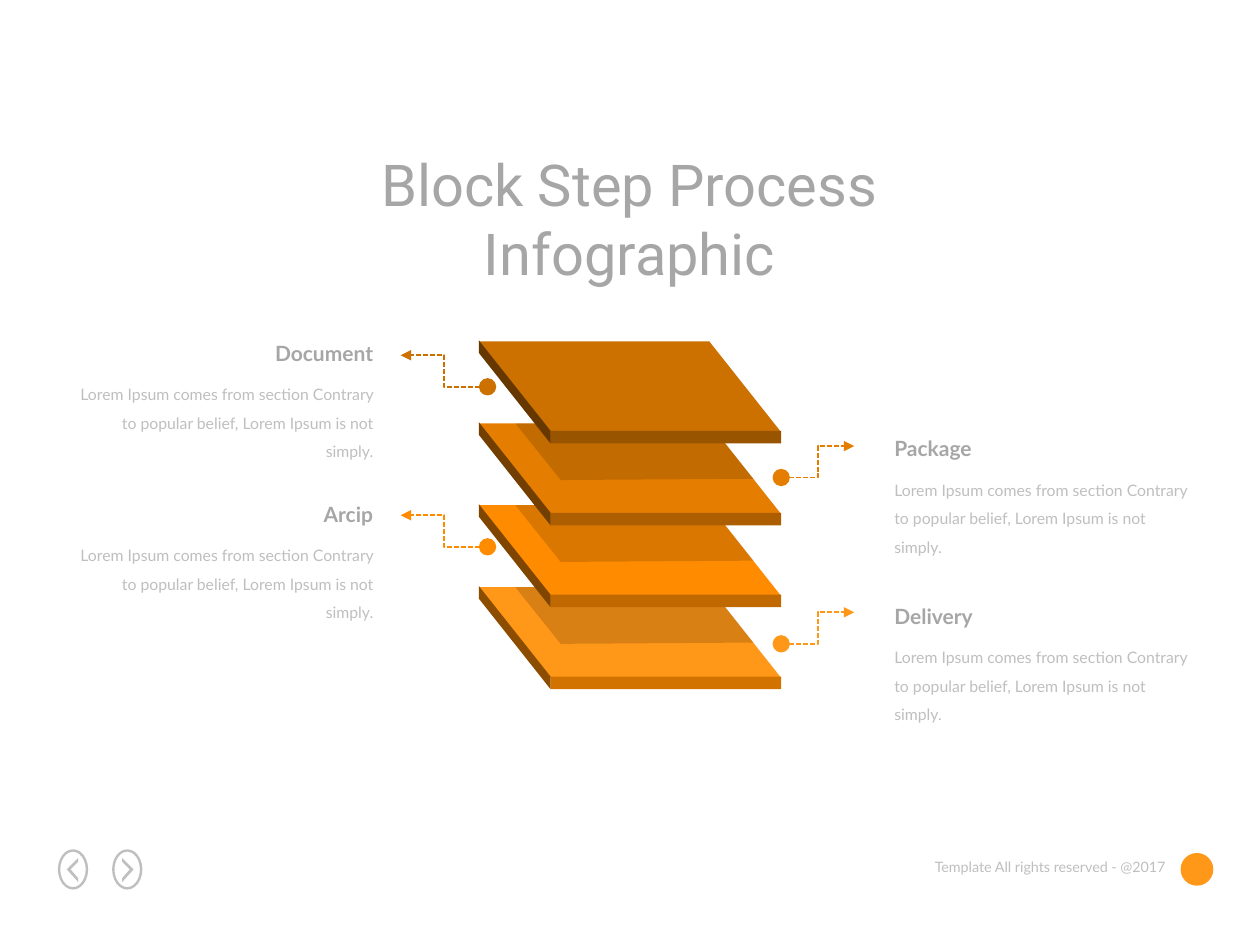
from pptx import Presentation
from pptx.dml.color import RGBColor
from pptx.enum.dml import MSO_LINE_DASH_STYLE as Dash
from pptx.enum.shapes import MSO_CONNECTOR as Connector, MSO_SHAPE as Shape
from pptx.enum.text import MSO_ANCHOR as Anchor, MSO_AUTO_SIZE as AutoSize, PP_ALIGN as Align
from pptx.oxml.ns import qn
from pptx.util import Inches, Pt
from lxml.etree import SubElement

# Content
TITLE = "Block Step Process Infographic"
BODY = "Lorem Ipsum comes from section Contrary to popular belief, Lorem Ipsum is not simply."
FOOTER = "Template All rights reserved - @2017"
COLORS = {"heading": "A6A6A6", "muted": "BFBFBF", "accent": "FF9719", "shade": "000000"}
# Blocks from bottom to top: surface, left side, front
BLOCKS = [
    ("FF9719", "8C4D00", "D27300"),
    ("FF8C00", "804600", "BF6900"),
    ("E57E00", "723F00", "AC5E00"),
    ("CC7000", "663800", "995400"),
]
# Heading, side, heading top, heading width, callout start, colour
STEPS = [
    ("Document", "left", 2.65, 0.99, 3.07, "CC7000"),
    ("Arcip", "left", 3.93, 0.60, 4.34, "FF8C00"),
    ("Package", "right", 3.41, 0.83, 3.79, "E57E00"),
    ("Delivery", "right", 4.74, 0.83, 5.11, "FF9719"),
]

# Geometry in inches
BLOCK_LEFT, BLOCK_BOTTOM, BLOCK_STEP = 3.8, 4.65, 0.65
SLANT, DEPTH, FRONT, THICK = 0.57, 0.72, 1.83, 0.1
BODY_WIDTH, BODY_HEIGHT, BODY_DROP = 2.57, 0.78, 0.28
SIDES = {  # text edge, callout start and end
    "left": {"edge": 3.06, "start": 3.87, "end": 3.18, "align": Align.RIGHT},
    "right": {"edge": 7.0, "start": 6.2, "end": 6.78, "align": Align.LEFT},
}
CALLOUT_RISE = 0.25

deck = Presentation()
deck.slide_width, deck.slide_height = Inches(10), Inches(7.5)
page = deck.slides.add_slide(deck.slide_layouts[5])


def paint(shape, color, alpha=None):
    shape.shadow.inherit = False
    shape.fill.solid()
    shape.fill.fore_color.rgb = RGBColor.from_string(color)
    shape.line.fill.background()
    if alpha is not None:
        tint = shape.fill._xPr.find(".//" + qn("a:srgbClr"))
        SubElement(tint, qn("a:alpha"), val=str(alpha * 1000))


def add_preset(kind, left, top, width, height, color):
    shape = page.shapes.add_shape(kind, *map(Inches, (left, top, width, height)))
    paint(shape, color)
    return shape


def add_polygon(points, color, alpha=None):
    corners = [(Inches(x), Inches(y)) for x, y in points]
    builder = page.shapes.build_freeform(*corners[0])
    builder.add_line_segments(corners[1:], close=True)
    paint(builder.convert_to_shape(), color, alpha)


def format_text(box, text, size, font, color, align, bold=False, spacing=None):
    box.text_frame.text = text
    para = box.text_frame.paragraphs[0]
    para.alignment = align
    if spacing:
        para.line_spacing = spacing
    span = para.runs[0].font
    span.size, span.name, span.bold = Pt(size), font, bold
    span.color.rgb = RGBColor.from_string(color)


def add_text(left, top, width, height, text, size, color, align, wrap=False, **style):
    box = page.shapes.add_textbox(*map(Inches, (left, top, width, height)))
    box.text_frame.word_wrap = wrap
    format_text(box, text, size, "Lato", color, align, **style)


def add_callout(start, end, color):
    line = page.shapes.add_connector(Connector.ELBOW, *map(Inches, start + end))
    line.line.color.rgb = RGBColor.from_string(color)
    line.line.width = Pt(1)
    line.line.dash_style = Dash.SQUARE_DOT
    outline = line.line._get_or_add_ln()
    SubElement(outline, qn("a:headEnd"), type="oval", w="lg", len="lg")
    SubElement(outline, qn("a:tailEnd"), type="triangle")
    SubElement(line._element.spPr, qn("a:effectLst"))


# Title, two centred lines
title = page.shapes.title
title.left, title.top, title.width, title.height = map(Inches, (1.75, 1.13, 6.49, 0.66))
frame = title.text_frame
frame.word_wrap, frame.auto_size, frame.vertical_anchor = True, AutoSize.NONE, Anchor.TOP
frame.margin_left = frame.margin_right = Inches(0.4)
format_text(title, TITLE, 33, "Roboto", COLORS["heading"], Align.CENTER)

# Footer: page arrows, emblem, rights line
for left, direction in ((0.46, -1), (0.89, 1)):
    ring = add_preset(Shape.DONUT, left, 6.74, 0.24, 0.32, COLORS["muted"])
    ring.adjustments[0] = 0.08
    tip = left + 0.12 + direction * 0.05
    tail = tip - direction * 0.09
    bend = tip - direction * 0.03
    add_polygon([(tail, 6.84), (bend, 6.9), (tail, 6.97), (tail, 7.0),
                 (tip, 6.9), (tail, 6.81)], COLORS["muted"])
add_preset(Shape.OVAL, 9.37, 6.77, 0.26, 0.26, COLORS["accent"])
add_text(7.25, 6.76, 2.1, 0.24, FOOTER, 8.2, COLORS["muted"], Align.RIGHT)

# Stacked blocks; each but the top one lies in the shade of the next
front_left = BLOCK_LEFT + SLANT
for level, (surface, side, front) in enumerate(BLOCKS):
    top = BLOCK_BOTTOM - level * BLOCK_STEP
    low = top + DEPTH
    back_right = BLOCK_LEFT + FRONT
    add_polygon([(front_left, low + 0.01), (front_left + FRONT, low + 0.01),
                 (back_right, top + 0.01), (BLOCK_LEFT, top + 0.01)], surface)
    add_polygon([(BLOCK_LEFT, top), (BLOCK_LEFT, top + THICK),
                 (front_left, low + THICK), (front_left, low)], side)
    add_preset(Shape.RECTANGLE, front_left, low, FRONT, THICK, front)
    if level < len(BLOCKS) - 1:
        add_polygon([(4.45, top + 0.46), (5.98, top + 0.45),
                     (back_right, top + 0.01), (4.09, top + 0.01)], COLORS["shade"], 15)

# Callouts and captions
for heading, side, top, width, start_y, color in STEPS:
    place = SIDES[side]
    add_callout((place["start"], start_y), (place["end"], start_y - CALLOUT_RISE), color)
    shift = 1 if side == "left" else 0
    add_text(place["edge"] - shift * BODY_WIDTH, top + BODY_DROP, BODY_WIDTH, BODY_HEIGHT,
             BODY, 9, COLORS["muted"], place["align"], wrap=True, spacing=1.5)
    add_text(place["edge"] - shift * width, top, width, 0.3,
             heading, 12, COLORS["heading"], place["align"], bold=True)

deck.save("out.pptx")
